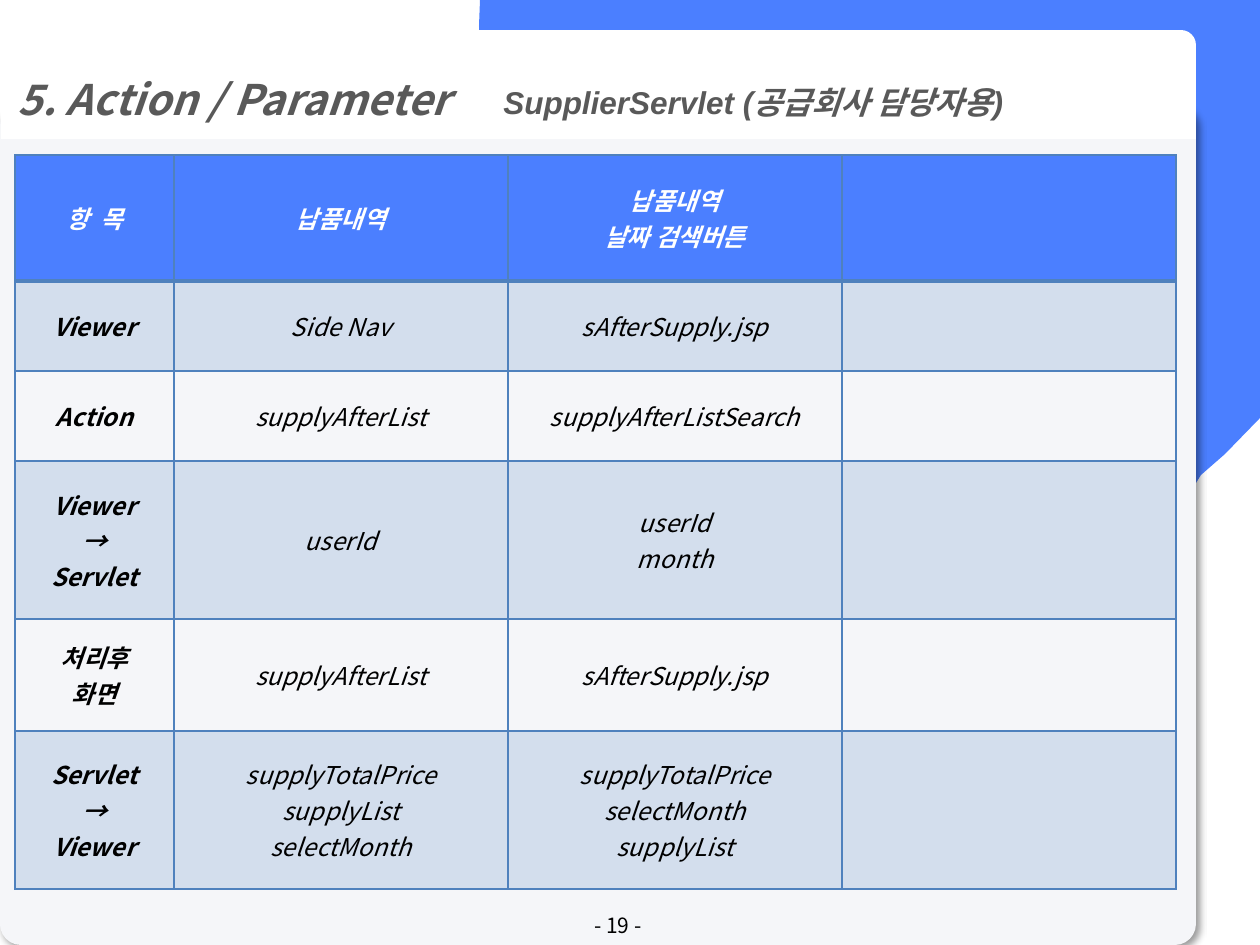
import pptx
import pptx.util
import pptx.dml.color
import pptx.enum.shapes
import pptx.enum.text
import pptx.oxml
import pptx.oxml.ns
from dataclasses import dataclass

SCALE = 914400 / 126  # EMU per pixel
MIDDLE = pptx.enum.text.MSO_ANCHOR.MIDDLE
CENTER = pptx.enum.text.PP_ALIGN.CENTER
SHAPES = pptx.enum.shapes.MSO_SHAPE


@dataclass(frozen=True)
class Theme:
    blue: str = "4B7FFF"
    card: str = "F5F6F9"
    white: str = "FFFFFF"
    black: str = "000000"
    heading: str = "595959"
    grid: str = "4F81BD"
    band_opacity: int = 20
    font: str = "Noto Sans CJK KR"
    latin: str = "Arial"
    title_size: int = 24
    subtitle_size: int = 18
    cell_size: int = 14
    number_size: int = 12


THEME = Theme()


def px(length):
    return pptx.util.Emu(round(length * SCALE))


def color(value):
    return pptx.dml.color.RGBColor.from_string(value)


def element(xml):
    return pptx.oxml.parse_xml(
        xml.replace(" ", f" {pptx.oxml.ns.nsdecls('a')} ", 1))


def place(shape, box):
    shape.left, shape.top, shape.width, shape.height = map(px, box)


def paint(shape, fill):
    shape.shadow.inherit = False
    shape.fill.solid()
    shape.fill.fore_color.rgb = color(fill)
    shape.line.fill.background()


def write(frame, text, size, ink, bold=False, italic=False, face=THEME.font,
          align=None, spacing=None):
    frame.text = text
    for para in frame.paragraphs:
        para.alignment = align
        para.line_spacing = spacing
        font = para.font
        font.name, font.size = face, pptx.util.Pt(size)
        font.bold, font.italic = bold, italic
        font.color.rgb = color(ink)
        # East Asian face for the Korean words
        for span in para.runs:
            span._r.get_or_add_rPr().append(
                element(f'<a:ea typeface="{THEME.font}"/>'))


def curve(start, first, second, end, steps=12):
    """Points along a cubic curve, without its start."""
    points = []
    for step in range(1, steps + 1):
        t = step / steps
        u = 1 - t
        points.append(tuple(
            u**3 * a + 3 * u * u * t * b + 3 * u * t * t * c + t**3 * d
            for a, b, c, d in zip(start, first, second, end)))
    return points


def add_backdrop(page, left, top):
    outline = [
        (915, 0), (915, 418), (880, 454), (856, 475), (851, 483),
        *curve((851, 483), (843, 491), (838, 496), (832, 503)),
        (465, 871),
        *curve((465, 871), (364, 970), (207, 976), (100, 890)),
        (80, 871), (61, 849),
        *curve((61, 849), (-26, 743), (-20, 585), (80, 485)),
        (270, 295), (227, 252),
        *curve((227, 252), (164, 190), (134, 108), (134, 26)),
        (135, 0)]
    points = [(left + x, top + y) for x, y in outline]
    builder = page.shapes.build_freeform(*points[0], scale=SCALE)
    builder.add_line_segments(points[1:], close=True)
    paint(builder.convert_to_shape(), THEME.blue)


def add_card(page, box):
    card = page.shapes.add_shape(SHAPES.ROUNDED_RECTANGLE, *map(px, box))
    card.adjustments[0] = 0.025
    paint(card, THEME.card)
    effects = card._element.spPr.find(pptx.oxml.ns.qn("a:effectLst"))
    effects.append(element(
        '<a:outerShdw blurRad="50800" dist="38100" dir="2700000" algn="tl" '
        f'rotWithShape="0"><a:srgbClr val="{THEME.black}">'
        '<a:alpha val="40000"/></a:srgbClr></a:outerShdw>'))


def add_heading(page, box, title_text, subtitle_text):
    left, top, width, height = box
    panel = page.shapes.add_shape(SHAPES.ROUND_2_SAME_RECTANGLE, *map(px, box))
    panel.adjustments[0] = 0.137
    paint(panel, THEME.white)

    # Title, brought in front of the panel
    title = page.shapes.title
    place(title, (left + 4, top + 4, width - 8, height - 4))
    title.text_frame.vertical_anchor = MIDDLE
    title.text_frame.auto_size = pptx.enum.text.MSO_AUTO_SIZE.NONE
    write(title.text_frame, title_text, THEME.title_size, THEME.heading, True,
          True, align=pptx.enum.text.PP_ALIGN.LEFT, spacing=1.5)
    panel._element.addnext(title._element)

    # Subtitle
    subtitle = page.shapes.add_textbox(
        *map(px, (left + 490, top + 28, 554, 71)))
    subtitle.text_frame.word_wrap = False
    write(subtitle.text_frame, subtitle_text, THEME.subtitle_size,
          THEME.heading, True, True, face=THEME.latin, spacing=1.5)


def format_cell(cell, text, header, label, banded):
    cell.vertical_anchor = MIDDLE
    cell.margin_left = cell.margin_right = px(5)
    cell.margin_top = cell.margin_bottom = px(6)
    if text:
        write(cell.text_frame, text, THEME.cell_size,
              THEME.white if header else THEME.black,
              header or label, True, align=CENTER)
    if header or banded:
        cell.fill.solid()
        cell.fill.fore_color.rgb = color(THEME.blue if header else THEME.grid)
    else:
        cell.fill.background()
    properties = cell._tc.get_or_add_tcPr()
    if banded:
        properties.find(".//" + pptx.oxml.ns.qn("a:srgbClr")).append(
            element(f'<a:alpha val="{THEME.band_opacity * 1000}"/>'))
    # Borders come before the fill
    for index, side in enumerate("LRTB"):
        width = 25400 if header and side == "B" else 12700
        properties.insert(index, element(
            f'<a:ln{side} w="{width}"><a:solidFill>'
            f'<a:srgbClr val="{THEME.grid}"/></a:solidFill></a:ln{side}>'))


def add_action_table(page, left, top, widths, heights, rows):
    table = page.shapes.add_table(
        len(rows), len(widths),
        *map(px, (left, top, sum(widths), sum(heights)))).table
    table.horz_banding = False
    for column, width in zip(table.columns, widths):
        column.width = px(width)
    for index, (height, texts) in enumerate(zip(heights, rows)):
        table.rows[index].height = px(height)
        for position, text in enumerate(texts):
            format_cell(table.cell(index, position), text, header=index == 0,
                        label=position == 0, banded=index % 2 == 1)


def add_page_number(page, box, text):
    number = page.shapes.add_textbox(*map(px, box))
    number.text_frame.word_wrap = True
    number.text_frame.vertical_anchor = MIDDLE
    write(number.text_frame, text, THEME.number_size, THEME.black,
          align=CENTER)


ROWS = [
    ("항  목", "납품내역", "납품내역\n날짜 검색버튼", ""),
    ("Viewer", "Side Nav", "sAfterSupply.jsp", ""),
    ("Action", "supplyAfterList", "supplyAfterListSearch", ""),
    ("Viewer\n→\nServlet", "userId", "userId\nmonth", ""),
    ("처리후\n화면", "supplyAfterList", "sAfterSupply.jsp", ""),
    ("Servlet\n→\nViewer", "supplyTotalPrice\nsupplyList\nselectMonth",
     "supplyTotalPrice\nselectMonth\nsupplyList", ""),
]

deck = pptx.Presentation()
deck.slide_width, deck.slide_height = px(1260), px(945)
page = deck.slides.add_slide(deck.slide_layouts.get_by_name("Title Only"))
add_backdrop(page, 345, 0)
add_card(page, (0, 105, 1196, 840))
add_page_number(page, (471, 909, 294, 33), "- 19 -")
add_heading(page, (1, 30, 1195, 109), "5. Action / Parameter",
            "SupplierServlet (공급회사 담당자용)")
add_action_table(page, 15, 155, [159] + [334] * 3,
                 [126, 90, 90, 158, 112, 158], ROWS)
deck.save("out.pptx")
